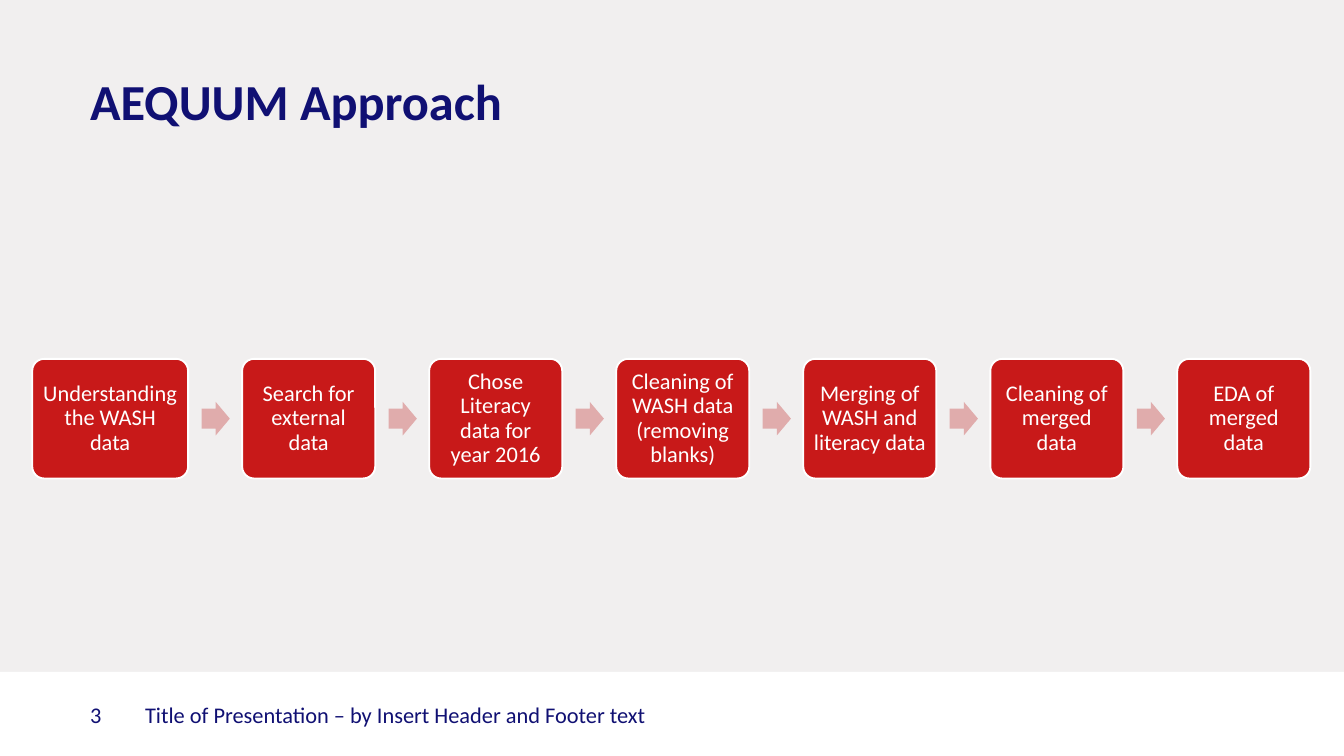
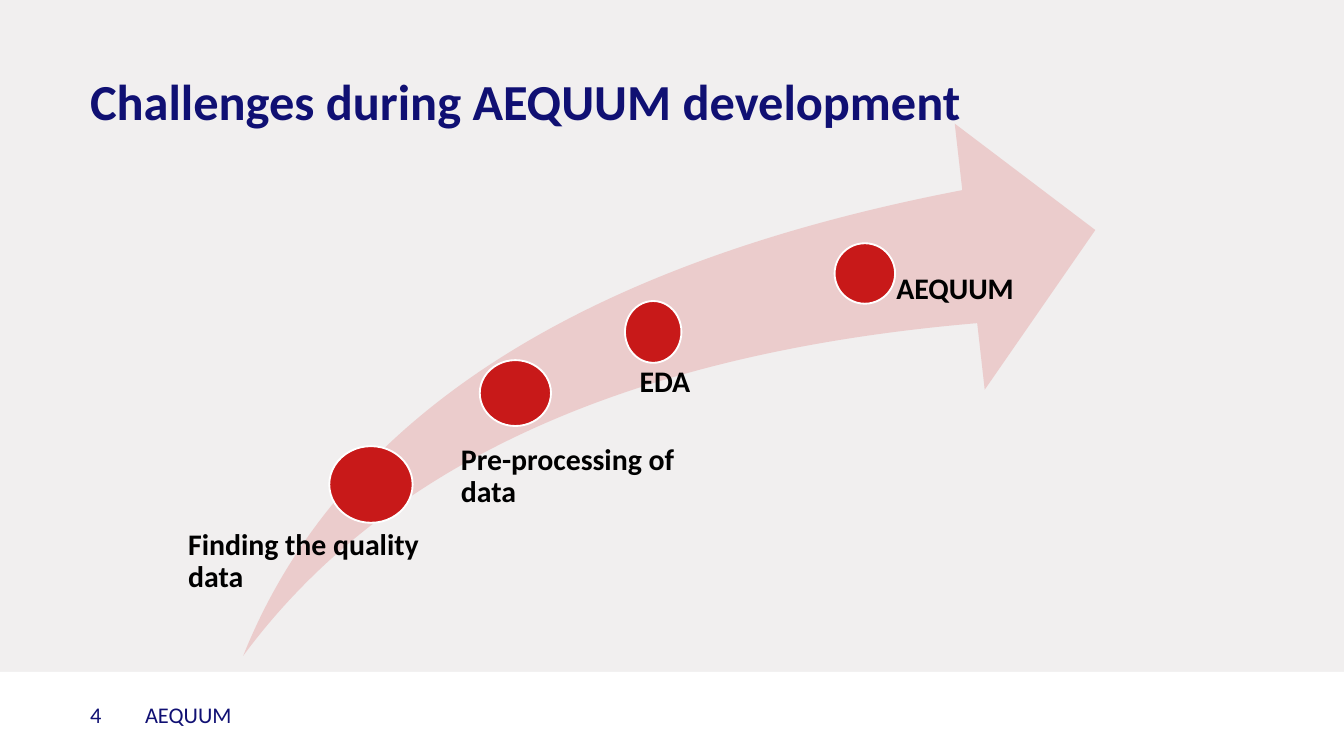
from dataclasses import dataclass
from typing import NamedTuple

from pptx import Presentation
from pptx.dml.color import RGBColor
from pptx.enum.shapes import MSO_SHAPE as Preset
from pptx.enum.text import MSO_ANCHOR as Anchor, PP_ALIGN as Align
from pptx.util import Inches, Pt


@dataclass(frozen=True)
class Theme:
    font: str = "Calibri"
    backdrop: str = "F1EFEF"
    navy: str = "101073"
    red: str = "C81919"
    link: str = "E0ACAC"
    swoosh: str = "EBCCCC"
    white: str = "FFFFFF"
    black: str = "000000"
    title_size: int = 27
    body_size: int = 12
    label_size: int = 16
    outline: int = 1


THEME = Theme()


class Box(NamedTuple):
    left: float
    top: float
    width: float
    height: float

    def lengths(self) -> list:
        return [Inches(value) for value in self]


class TextStyle(NamedTuple):
    size: int
    color: str
    bold: bool = False
    align: Align = Align.LEFT
    anchor: Anchor = Anchor.TOP
    spacing: object = 1.0


class Milestone(NamedTuple):
    label: str
    dot: Box
    caption: Box
    indent: float


TITLE = TextStyle(THEME.title_size, THEME.navy, True, spacing=Pt(THEME.title_size))
FOOTER = TextStyle(THEME.body_size, THEME.navy)
STEP = TextStyle(THEME.body_size, THEME.white, False, Align.CENTER, Anchor.MIDDLE, 0.9)
LABEL = TextStyle(THEME.label_size, THEME.black, True, spacing=0.9)

WIDTH = 10
HEIGHT = WIDTH * 9 / 16
BAND_TOP = 5

STEPS = [
    "Understanding the WASH data",
    "Search for external data",
    "Chose Literacy data for year 2016",
    "Cleaning of WASH data\n(removing blanks)",
    "Merging of WASH and literacy data",
    "Cleaning of merged data",
    "EDA of merged data",
]
STEP_LEFT, STEP_RIGHT, STEP_TOP, STEP_HEIGHT = 0.24, 9.75, 2.67, 0.89
FIRST_STEP_WIDTH, STEP_WIDTH = 1.16, 0.99
LINKS = len(STEPS) - 1
STEP_GAP = (STEP_RIGHT - STEP_LEFT - FIRST_STEP_WIDTH) / LINKS - STEP_WIDTH
LINK_WIDTH, LINK_HEIGHT = 0.21, 0.25
STEP_INSET = 0.05

SWOOSH = Box(1.81, 0.92, 6.34, 3.96)
MILESTONES = [
    Milestone("Finding the quality data", Box(2.45, 3.32, 0.62, 0.57),
              Box(1.32, 3.94, 2.18, 0.94), 0.08),
    Milestone("Pre-processing of data", Box(3.57, 2.68, 0.53, 0.49),
              Box(3.3, 3.31, 1.91, 1.57), 0.13),
    Milestone("EDA", Box(4.65, 2.24, 0.42, 0.46), Box(4.58, 2.73, 0.84, 0.26), 0.18),
    Milestone("AEQUUM", Box(6.21, 1.81, 0.45, 0.45), Box(6.43, 2.04, 1.33, 2.84), 0.24),
]


def rgb(value: str) -> RGBColor:
    return RGBColor.from_string(value)


def apply(target, values: dict) -> None:
    for name, value in values.items():
        setattr(target, name, value)


def write(frame, text: str, style: TextStyle, insets=(0, 0, 0, 0)) -> None:
    left, top, right, bottom = (Inches(inset) for inset in insets)
    apply(frame, {"word_wrap": True, "vertical_anchor": style.anchor,
                  "margin_left": left, "margin_top": top,
                  "margin_right": right, "margin_bottom": bottom})
    paragraph = frame.paragraphs[0]
    apply(paragraph, {"alignment": style.align, "line_spacing": style.spacing})
    paragraph.text = text
    for run in paragraph.runs:
        apply(run.font, {"name": THEME.font, "size": Pt(style.size), "bold": style.bold})
        run.font.color.rgb = rgb(style.color)


def add_text(slide, box: Box, text: str, style: TextStyle, indent: float = 0) -> None:
    frame = slide.shapes.add_textbox(*box.lengths()).text_frame
    write(frame, text, style, (indent, 0, 0, 0))


def add_figure(slide, preset: Preset, box: Box, fill: str,
               outlined: bool = False, adjustments: tuple = ()):
    figure = slide.shapes.add_shape(preset, *box.lengths())
    figure.shadow.inherit = False
    figure.fill.solid()
    figure.fill.fore_color.rgb = rgb(fill)
    if outlined:
        figure.line.color.rgb = rgb(THEME.white)
        figure.line.width = Pt(THEME.outline)
    else:
        figure.line.fill.background()
    for index, value in enumerate(adjustments):
        figure.adjustments[index] = value
    return figure


def start_slide(deck, title: str, footer: str, number: int):
    slide = deck.slides.add_slide(deck.slide_layouts[6])
    slide.background.fill.solid()
    slide.background.fill.fore_color.rgb = rgb(THEME.backdrop)
    add_figure(slide, Preset.RECTANGLE,
               Box(0, BAND_TOP, WIDTH, HEIGHT - BAND_TOP), THEME.white)
    add_text(slide, Box(0.67, 0.6, 8.66, 0.43), title, TITLE)
    add_text(slide, Box(1.08, 5.22, 7.36, 0.38), footer, FOOTER)
    add_text(slide, Box(0.67, 5.22, 0.66, 0.38), str(number), FOOTER)
    return slide


def build_approach(deck) -> None:
    slide = start_slide(deck, "AEQUUM Approach",
                        "Title of Presentation – by Insert Header and Footer text", 3)
    left = STEP_LEFT
    link_top = STEP_TOP + (STEP_HEIGHT - LINK_HEIGHT) / 2
    for index, text in enumerate(STEPS):
        if index:
            link = Box(left - STEP_GAP + 0.1, link_top, LINK_WIDTH, LINK_HEIGHT)
            add_figure(slide, Preset.RIGHT_ARROW, link, THEME.link, adjustments=(0.6, 0.5))
        width = STEP_WIDTH if index else FIRST_STEP_WIDTH
        step = add_figure(slide, Preset.ROUNDED_RECTANGLE,
                          Box(left, STEP_TOP, width, STEP_HEIGHT),
                          THEME.red, True, (0.1,))
        write(step.text_frame, text, STEP, (STEP_INSET,) * 4)
        left += width + STEP_GAP


def build_challenges(deck) -> None:
    slide = start_slide(deck, "Challenges during AEQUUM development", "AEQUUM", 4)
    add_figure(slide, Preset.SWOOSH_ARROW, SWOOSH, THEME.swoosh, adjustments=(0.25, 0.25))
    for milestone in MILESTONES:
        add_figure(slide, Preset.OVAL, milestone.dot, THEME.red, True)
        add_text(slide, milestone.caption, milestone.label, LABEL, milestone.indent)


def main() -> None:
    deck = Presentation()
    apply(deck, {"slide_width": Inches(WIDTH), "slide_height": Inches(HEIGHT)})
    build_approach(deck)
    build_challenges(deck)
    deck.save("out.pptx")


if __name__ == "__main__":
    main()
